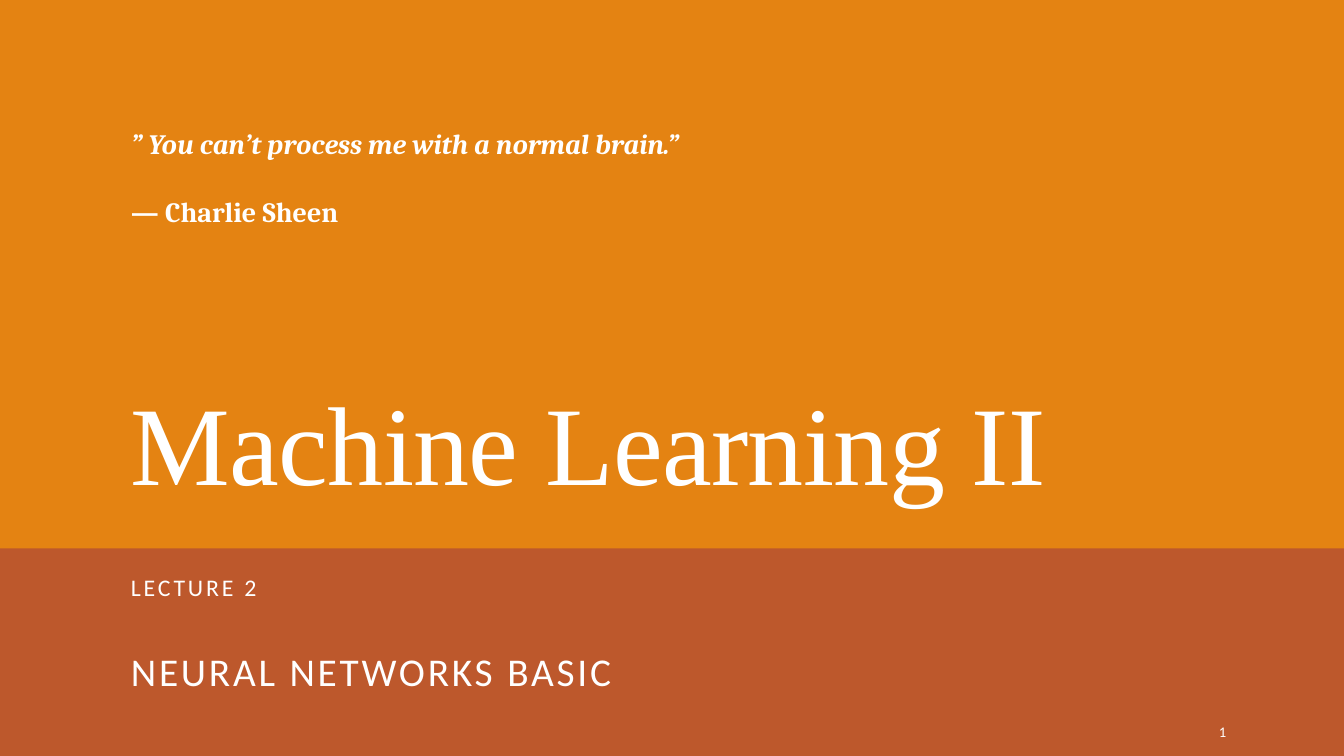
from pptx import Presentation
from pptx import util as u
from pptx.dml.color import RGBColor
from pptx.enum import shapes, text


def tint(code):
    """Turn a hex string into a colour."""
    return RGBColor.from_string(code)


class Deck:
    """Hold the style and the current slide, placing items in percent of its size."""

    orange, rust, white = "E48312", "BD582C", "FFFFFF"
    sans, serif, quote = "Calibri", "Times New Roman", "Cambria"
    left, wide = 9, 82.5

    def __init__(self):
        """Open a wide deck with one blank slide."""
        self.prs = Presentation()
        self.prs.slide_width = u.Inches(13.33)
        self.prs.slide_height = u.Inches(7.5)
        self.slide = self.prs.slides.add_slide(self.prs.slide_layouts[6])

    def area(self, x, y, w, h):
        """Turn percent shares into slide lengths."""
        across, down = self.prs.slide_width, self.prs.slide_height
        return [int(part * full / 100) for part, full in
                ((x, across), (y, down), (w, across), (h, down))]

    def band(self, y, h, fill):
        """Add a full-width colour band."""
        band = self.slide.shapes.add_shape(
            shapes.MSO_SHAPE.RECTANGLE, *self.area(0, y, 100, h))
        band.shadow.inherit = False
        band.fill.solid()
        band.fill.fore_color.rgb = tint(fill)
        band.line.fill.background()

    def box(self, x, y, w, h, anchor=text.MSO_ANCHOR.TOP):
        """Add an empty wrapping text box and return its frame."""
        frame = self.slide.shapes.add_textbox(*self.area(x, y, w, h)).text_frame
        frame.word_wrap = True
        frame.vertical_anchor = anchor
        return frame

    def style(self, para, words, size, face, track=0, lead=1, before=0,
              after=0, bold=False, slant=False, align=text.PP_ALIGN.LEFT):
        """Fill and format one paragraph."""
        para.text = words
        para.alignment = align
        para.line_spacing = lead
        para.space_before, para.space_after = u.Pt(before), u.Pt(after)
        for run in para.runs:
            font = run.font
            font.size, font.name = u.Pt(size), face
            font.bold, font.italic = bold, slant
            font.color.rgb = tint(self.white)
            run._r.get_or_add_rPr().set("spc", str(int(track * 100)))

    def title(self, words):
        """Add the large course title."""
        frame = self.box(self.left, 11.07, self.wide, 56.8, text.MSO_ANCHOR.BOTTOM)
        self.style(frame.paragraphs[0], words, 80, self.serif, track=-0.5, lead=0.85)

    def topic(self, label, name):
        """Add the lecture label above its name."""
        frame = self.box(self.left, 76.13, self.wide, 16.67)
        look = dict(face=self.sans, track=2, lead=0.7, after=2)
        self.style(frame.paragraphs[0], label, 17, before=12, **look)
        self.style(frame.add_paragraph(), name, 28.1, before=40.5, **look)

    def saying(self, words, author):
        """Add the quotation and its author."""
        frame = self.box(self.left, 16.13, 74, 14.8)
        look = dict(size=20, face=self.quote, bold=True)
        self.style(frame.paragraphs[0], words, slant=True, **look)
        self.style(frame.add_paragraph(), author, before=24, **look)

    def number(self, words):
        """Add the page number at the lower right."""
        frame = self.box(81.25, 94.13, 10.73, 5.33, text.MSO_ANCHOR.MIDDLE)
        self.style(frame.paragraphs[0], words, 10.5, self.sans,
                   align=text.PP_ALIGN.RIGHT)


def main():
    """Build the opening slide."""
    deck = Deck()
    deck.band(72.27, 27.73, deck.rust)
    deck.band(0, 72.53, deck.orange)
    deck.title("Machine Learning II")
    deck.topic("LECTURE 2", "NEURAL NETWORKS BASIC")
    deck.saying("” You can’t process me with a normal brain.”", "— Charlie Sheen")
    deck.number("1")
    deck.prs.save("out.pptx")


if __name__ == "__main__":
    main()
